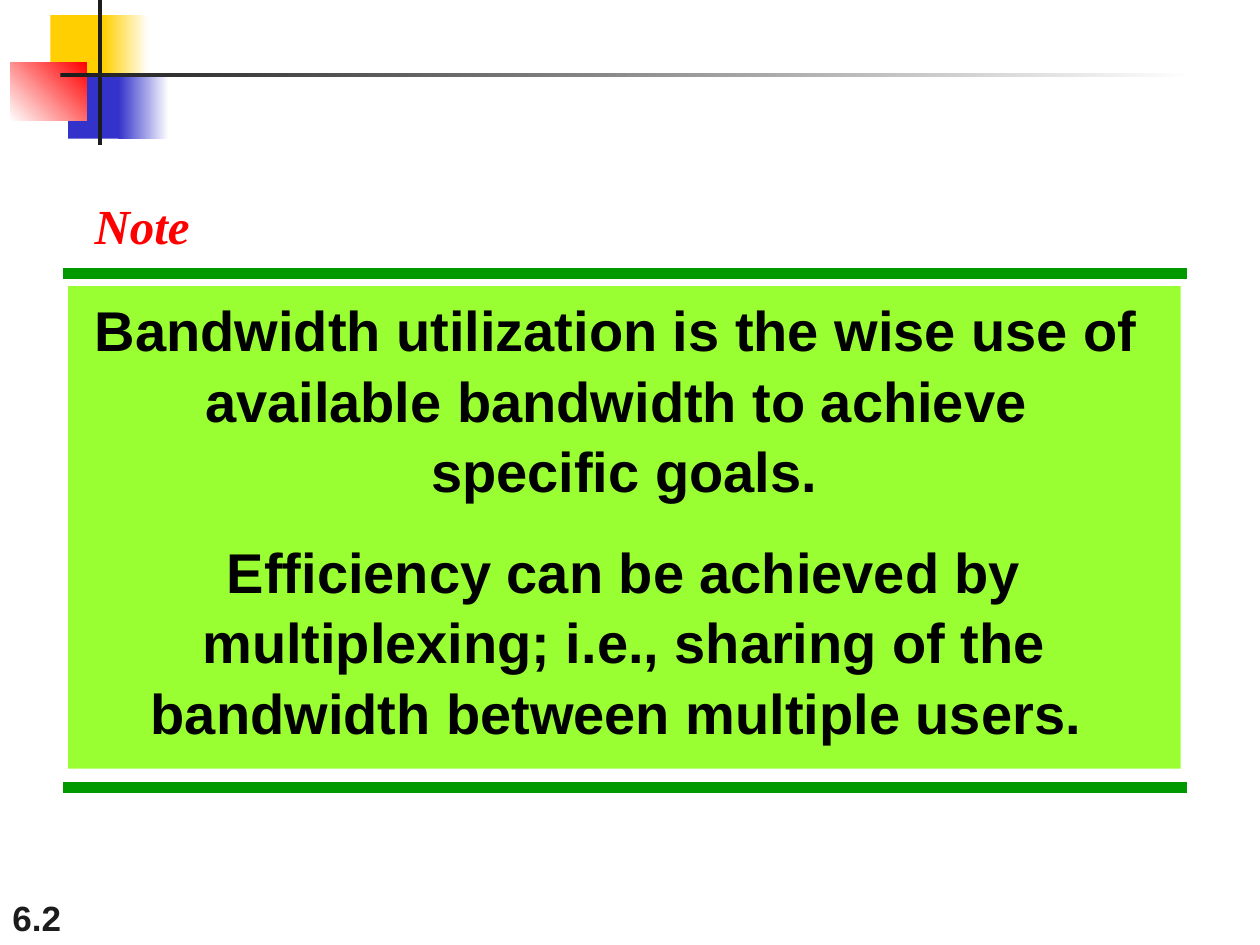
from pptx import Presentation
from pptx.dml.color import RGBColor
from pptx.enum.shapes import MSO_CONNECTOR, MSO_SHAPE
from pptx.enum.text import MSO_ANCHOR, MSO_AUTO_SIZE, PP_ALIGN
from pptx.util import Inches, Pt
from lxml.etree import SubElement
from pptx.oxml.ns import qn

THEME = {
    "gold": "FFCF01", "blue": "3333CC", "red": "FF0000", "white": "FFFFFF",
    "ink": "1C1C1C", "black": "000000", "green": "009900", "lime": "99FF33",
    "sans": "Arial", "serif": "Times New Roman",
    "note": 28, "body": 32, "number": 20, "rule": 6,
}

NOTE = "Note"
BODY = [
    "Bandwidth utilization is the wise use of \vavailable bandwidth to achieve \vspecific goals.",
    "Efficiency can be achieved by multiplexing; i.e., sharing of the bandwidth between multiple users. ",
]
NUMBER = "6.2"

DECOR = [
    ((0.4, 0.12, 0.48, 0.52), ["gold"], 0),
    ((0.82, 0.12, 0.36, 0.52), ["gold", "white"], 0),
    ((0.54, 0.58, 0.46, 0.52), ["blue"], 0),
    ((0.94, 0.58, 0.4, 0.52), ["blue", "white"], 0),
    ((0.08, 0.5, 0.61, 0.46), ["white", "red"], 45),
    ((0.78, 0, 0.03, 1.15), ["ink"], 0),
    ((0.48, 0.58, 9, 0.03), ["ink", "white"], 0),
]
LEFT, RIGHT = 0.5, 9.42
RULES = [2.17, 6.25]


def color(name):
    return RGBColor.from_string(THEME[name])


def place(shape, box):
    shape.left, shape.top, shape.width, shape.height = map(Inches, box)


def paint(shape, names, angle):
    fill = shape.fill
    if len(names) == 1:
        fill.solid()
        fill.fore_color.rgb = color(names[0])
        return
    fill.gradient()
    fill.gradient_angle = angle
    for stop, name in zip(fill.gradient_stops, names):
        stop.color.rgb = color(name)


def write(shape, lines, face, size, ink, anchor, align=PP_ALIGN.LEFT, wrap=True, italic=False):
    frame = shape.text_frame
    frame.text = "\n".join(lines)
    frame.word_wrap = wrap
    frame.auto_size = MSO_AUTO_SIZE.NONE
    frame.vertical_anchor = anchor
    for par in frame.paragraphs:
        par.alignment = align
        par.space_before = Pt(0)
        for run in par.runs:
            font = run.font
            font.name, font.size = THEME[face], Pt(THEME[size])
            font.bold, font.italic = True, italic
            font.color.rgb = color(ink)


def main():
    deck = Presentation()
    deck.slide_width, deck.slide_height = Inches(10), Inches(7.5)
    slide = deck.slides.add_slide(deck.slide_layouts[1])
    title, body = slide.placeholders

    for box, names, angle in DECOR:
        rect = slide.shapes.add_shape(MSO_SHAPE.RECTANGLE, *map(Inches, box))
        rect.shadow.inherit = False
        rect.line.fill.background()
        paint(rect, names, angle)

    for y in RULES:
        ends = map(Inches, (LEFT, y, RIGHT, y))
        rule = slide.shapes.add_connector(MSO_CONNECTOR.STRAIGHT, *ends)
        rule.line.color.rgb = color("green")
        rule.line.width = Pt(THEME["rule"])
        SubElement(rule._element.spPr, qn("a:effectLst"))

    place(title, (0.65, 1.5, 0.96, 0.57))
    write(title, [NOTE], "serif", "note", "red", MSO_ANCHOR.TOP, wrap=False, italic=True)

    place(body, (0.54, 2.27, 8.83, 3.83))
    paint(body, ["lime"], 0)
    write(body, BODY, "sans", "body", "black", MSO_ANCHOR.TOP, PP_ALIGN.CENTER)
    for par in body.text_frame.paragraphs:
        par.line_spacing = 1.05
        props = par._p.get_or_add_pPr()
        props.set("marL", "0")
        props.set("indent", "0")
        SubElement(props, qn("a:buNone"))
    body.text_frame.paragraphs[1].space_before = Pt(17)

    number = slide.shapes.add_textbox(*map(Inches, (0, 7, 2.08, 0.5)))
    write(number, [NUMBER], "sans", "number", "ink", MSO_ANCHOR.BOTTOM)

    deck.save("out.pptx")


if __name__ == "__main__":
    main()
